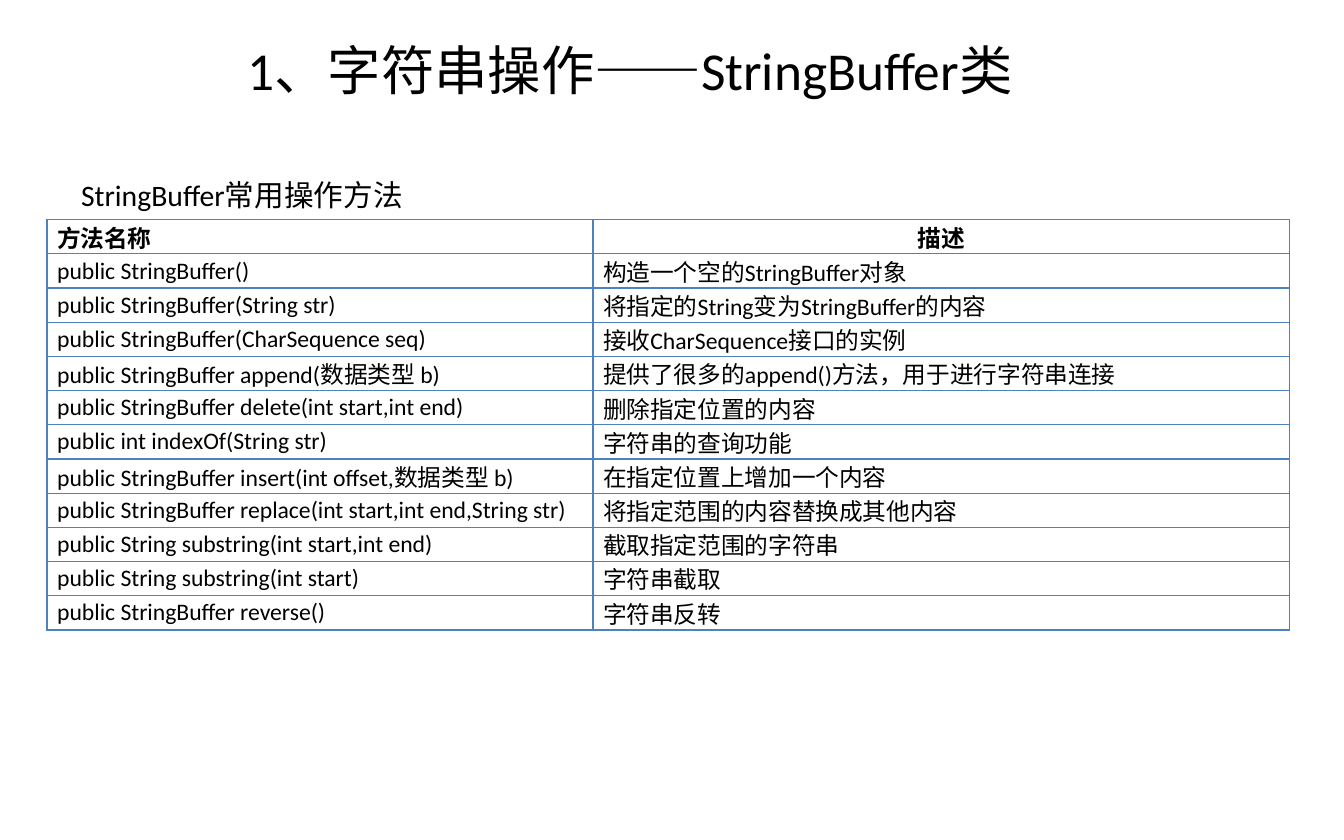
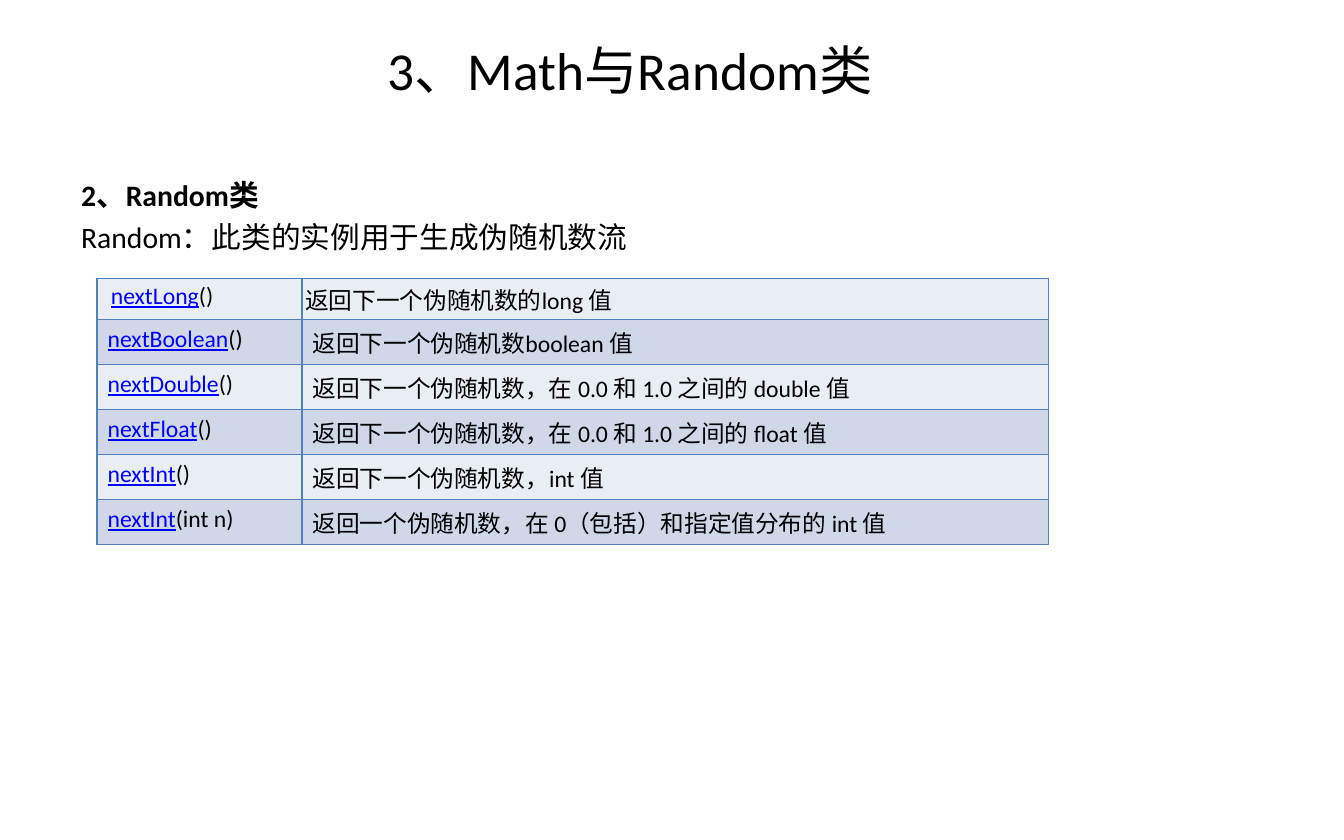
from pptx import Presentation
from pptx.dml.color import RGBColor
from pptx.enum.text import MSO_ANCHOR as Anchor, MSO_AUTO_SIZE as AutoSize, PP_ALIGN as Align
from pptx.oxml import parse_xml
from pptx.oxml.ns import nsdecls
from pptx.util import Cm, Pt

BLACK, LINK, BORDER = "000000", "0000FF", "4F81BD"
BANDS = ("E9EDF4", "D0D8E8")


def rgb(value):
    return RGBColor.from_string(value)


def set_attrs(obj, values):
    for name, value in values.items():
        setattr(obj, name, value)


def margins(left, top, right, bottom):
    sides = {"left": left, "top": top, "right": right, "bottom": bottom}
    return {f"margin_{side}": Cm(size) for side, size in sides.items()}


class Deck:
    """Holds the shared style and the slide being filled."""

    font = "Calibri"
    title_box = (4, 0.8, 22, 1.7)
    body_box = (1.6, 4.04, 28.8, 13.5)
    frame = {**margins(0.33, 0.18, 0.33, 0.18), "word_wrap": True,
             "auto_size": AutoSize.NONE}
    hanging = Cm(1.25)

    def __init__(self):
        self.prs = Presentation()
        self.prs.slide_width, self.prs.slide_height = Cm(32), Cm(20)
        self.slide = None

    def style(self, font, size, color=BLACK, **extra):
        set_attrs(font, {"name": self.font, "size": Pt(size), **extra})
        font.color.rgb = rgb(color)

    def place(self, sp, box, anchor):
        names = ("left", "top", "width", "height")
        set_attrs(sp, dict(zip(names, map(Cm, box))))
        set_attrs(sp.text_frame, {**self.frame, "vertical_anchor": anchor})
        return sp.text_frame

    def add_slide(self, title):
        self.slide = self.prs.slides.add_slide(self.prs.slide_layouts[1])
        tf = self.place(self.slide.shapes.title, self.title_box, Anchor.MIDDLE)
        p = tf.paragraphs[0]
        p.alignment = Align.CENTER
        r = p.add_run()
        r.text = title
        self.style(r.font, 36)

    def body(self, lines):
        """Fill the body placeholder with (text, bold) lines."""
        tf = self.place(self.slide.placeholders[1], self.body_box, Anchor.TOP)
        for i, (text, bold) in enumerate(lines):
            p = tf.add_paragraph() if i else tf.paragraphs[0]
            p.space_before = Pt(4 if i else 0)
            pPr = p._p.get_or_add_pPr()
            pPr.set("marL", str(self.hanging))
            pPr.set("indent", str(-self.hanging))
            pPr.append(parse_xml(f"<a:buNone {nsdecls('a')}/>"))
            r = p.add_run()
            r.text = text
            self.style(r.font, 20, bold=bold)

    def table(self, left, top, widths, heights):
        """Add an empty table with borders and no built-in banding."""
        shape = self.slide.shapes.add_table(
            len(heights), len(widths), Cm(left), Cm(top),
            Cm(sum(widths)), Cm(sum(heights)))
        table = shape.table
        table.first_row = table.horz_banding = False
        for column, width in zip(table.columns, widths):
            column.width = Cm(width)
        for row, height in zip(table.rows, heights):
            row.height = Cm(height)
        for cell in table.iter_cells():
            tcPr = cell._tc.get_or_add_tcPr()
            for side in "LRTB":
                tcPr.append(parse_xml(
                    f'<a:ln{side} {nsdecls("a")} w="12700"><a:solidFill>'
                    f'<a:srgbClr val="{BORDER}"/></a:solidFill></a:ln{side}>'))
        return table

    def cell(self, cell, runs, fill=None, align=Align.LEFT, **layout):
        """Write (text, format) runs into a table cell."""
        set_attrs(cell, layout)
        if fill:
            cell.fill.solid()
            cell.fill.fore_color.rgb = rgb(fill)
        else:
            cell.fill.background()
        p = cell.text_frame.paragraphs[0]
        p.alignment = align
        for text, fmt in runs:
            r = p.add_run()
            r.text = text
            self.style(r.font, 16, **fmt)


BUFFER_METHODS = [
    ("方法名称", "描述"),
    ("public StringBuffer()", "构造一个空的StringBuffer对象"),
    ("public StringBuffer(String str)", "将指定的String变为StringBuffer的内容"),
    ("public StringBuffer(CharSequence seq)", "接收CharSequence接口的实例"),
    ("public StringBuffer append(数据类型 b)", "提供了很多的append()方法，用于进行字符串连接"),
    ("public StringBuffer delete(int start,int end)", "删除指定位置的内容"),
    ("public int indexOf(String str)", "字符串的查询功能"),
    ("public StringBuffer insert(int offset,数据类型 b)", "在指定位置上增加一个内容"),
    ("public StringBuffer replace(int start,int end,String str)", "将指定范围的内容替换成其他内容"),
    ("public String substring(int start,int end)", "截取指定范围的字符串"),
    ("public String substring(int start)", "字符串截取"),
    ("public StringBuffer reverse()", "字符串反转"),
]

RANDOM_METHODS = [
    ("nextLong", "()", "返回下一个伪随机数的long 值"),
    ("nextBoolean", "()", "返回下一个伪随机数boolean 值"),
    ("nextDouble", "()", "返回下一个伪随机数，在 0.0 和 1.0 之间的 double 值"),
    ("nextFloat", "()", "返回下一个伪随机数，在 0.0 和 1.0 之间的 float 值"),
    ("nextInt", "()", "返回下一个伪随机数，int 值"),
    ("nextInt", "(int n)", "返回一个伪随机数，在 0（包括）和指定值分布的 int 值"),
]


def string_buffer_slide(deck):
    deck.add_slide("1、字符串操作——StringBuffer类")
    deck.body([("StringBuffer常用操作方法", False)])
    table = deck.table(1.12, 5.23, (13, 16.58), [0.81] * len(BUFFER_METHODS))
    layout = {**margins(0.24, 0, 0.24, 0), "vertical_anchor": Anchor.MIDDLE}
    for i, (method, description) in enumerate(BUFFER_METHODS):
        fmt = {"bold": i == 0}
        deck.cell(table.cell(i, 0), [(method, fmt)], **layout)
        deck.cell(table.cell(i, 1), [(description, fmt)],
                  align=Align.JUSTIFY if i else Align.CENTER, **layout)


def random_slide(deck):
    deck.add_slide("3、Math与Random类")
    deck.body([("2、Random类", True),
               ("Random：此类的实例用于生成伪随机数流", False)])
    heights = [0.98] + [1.07] * (len(RANDOM_METHODS) - 1)
    table = deck.table(2.31, 6.63, (4.88, 17.78), heights)
    for i, (name, arguments, description) in enumerate(RANDOM_METHODS):
        fill = BANDS[i % 2]
        name_layout = {} if i else margins(0.33, 0.08, 0.08, 0.08)
        text_layout = {} if i else {**margins(0.08, 0.08, 0.08, 0.08),
                                    "vertical_anchor": Anchor.MIDDLE}
        link = {"color": LINK, "underline": True}
        deck.cell(table.cell(i, 0), [(name, link), (arguments, {})], fill,
                  **name_layout)
        deck.cell(table.cell(i, 1), [(description, {})], fill, **text_layout)


def main():
    deck = Deck()
    string_buffer_slide(deck)
    random_slide(deck)
    deck.prs.save("out.pptx")


if __name__ == "__main__":
    main()
